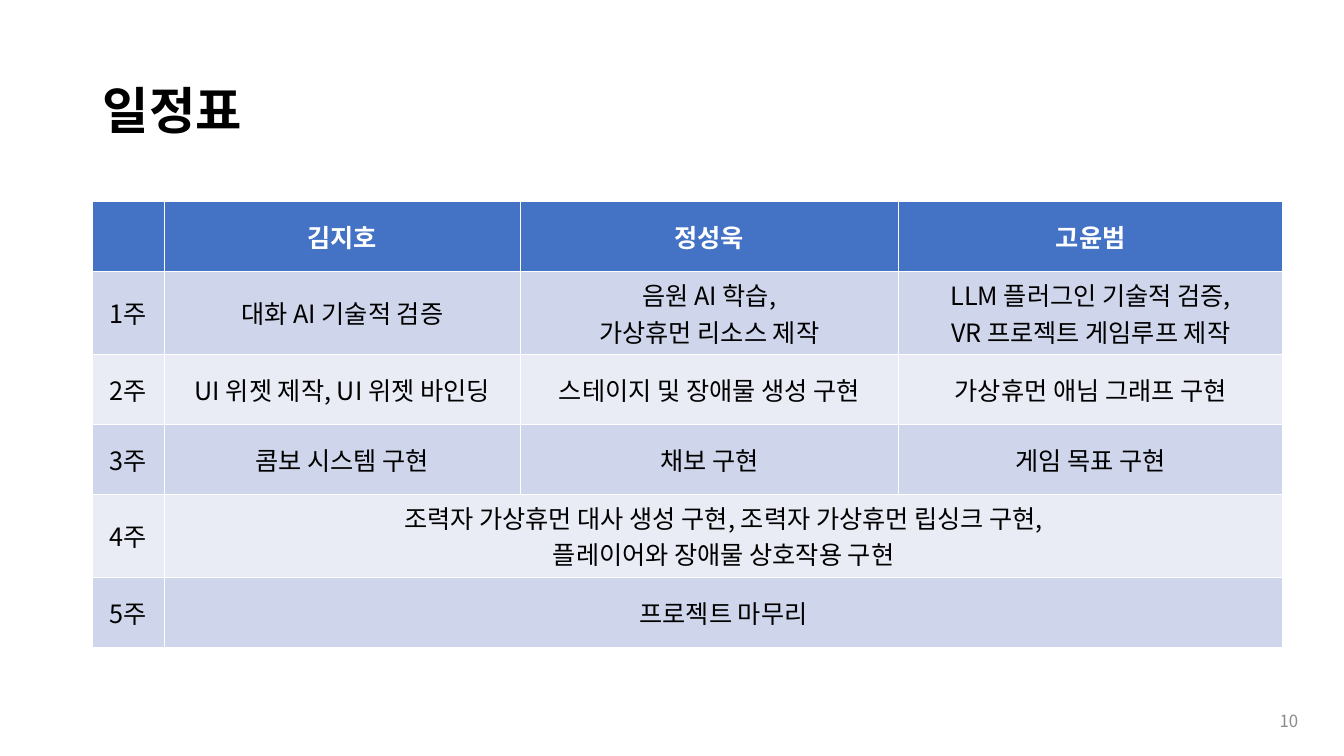
from pptx import Presentation
from pptx.dml.color import RGBColor as Rgb
from pptx.enum.text import MSO_ANCHOR as Anchor, PP_ALIGN as Align
from pptx.util import Cm, Pt
from lxml.etree import SubElement

TITLE = "일정표"
PAGE = "10"
HEAD = ["", "김지호", "정성욱", "고윤범"]
# A week with a single task spans all three members.
WEEKS = [
    ["1주", "대화 AI 기술적 검증", "음원 AI 학습,\n가상휴먼 리소스 제작",
     "LLM 플러그인 기술적 검증,\nVR 프로젝트 게임루프 제작"],
    ["2주", "UI 위젯 제작, UI 위젯 바인딩", "스테이지 및 장애물 생성 구현",
     "가상휴먼 애님 그래프 구현"],
    ["3주", "콤보 시스템 구현", "채보 구현", "게임 목표 구현"],
    ["4주", "조력자 가상휴먼 대사 생성 구현, 조력자 가상휴먼 립싱크 구현,\n"
            "플레이어와 장애물 상호작용 구현"],
    ["5주", "프로젝트 마무리"],
]
FONT = "Noto Sans CJK KR"
COLORS = {"head": "4472C4", "odd": "CFD5EA", "even": "E9EBF5",
          "white": "FFFFFF", "black": "000000", "gray": "8C8C8C"}
WIDTHS = [1.8, 8.97, 9.53, 9.69]
ROW = 1.76
LEFT = 2.34


def color(name):
    return Rgb.from_string(COLORS[name])


def write(frame, text, size, tint, align, bold=False):
    frame.text = text
    frame.word_wrap = True
    for para in frame.paragraphs:
        para.alignment = align
        for run in para.runs:
            font = run.font
            font.name, font.size, font.bold = FONT, Pt(size), bold
            font.color.rgb = color(tint)
            # East Asian glyphs take their font from a:ea.
            props = run._r.get_or_add_rPr()
            tag = props.find("{*}latin").tag.replace("latin", "ea")
            SubElement(props, tag, typeface=FONT)


def add_plan(slide):
    rows = [HEAD] + WEEKS
    table = slide.shapes.add_table(
        len(rows), len(HEAD), Cm(LEFT), Cm(5.08),
        Cm(sum(WIDTHS)), Cm(ROW * len(rows))).table
    for col, width in zip(table.columns, WIDTHS):
        col.width = Cm(width)
    for r, texts in enumerate(rows):
        table.rows[r].height = Cm(ROW)
        fill = "head" if r == 0 else "odd" if r % 2 else "even"
        for c in range(len(HEAD)):
            cell = table.cell(r, c)
            cell.fill.solid()
            cell.fill.fore_color.rgb = color(fill)
            cell.vertical_anchor = Anchor.MIDDLE
            write(cell.text_frame, texts[c] if c < len(texts) else "", 18,
                  "black" if r else "white", Align.CENTER, r == 0)
        if len(texts) == 2:
            table.cell(r, 1).merge(table.cell(r, len(HEAD) - 1))


def main():
    prs = Presentation()
    prs.slide_width, prs.slide_height = Cm(33.87), Cm(19.05)
    slide = prs.slides.add_slide(prs.slide_layouts[5])

    title = slide.shapes.title
    title.left, title.top = Cm(LEFT), Cm(1.01)
    title.width, title.height = Cm(29.21), Cm(3.68)
    write(title.text_frame, TITLE, 36, "black", Align.LEFT, True)
    title.text_frame.vertical_anchor = Anchor.MIDDLE
    title.text_frame.paragraphs[0].line_spacing = 0.9

    add_plan(slide)

    page = slide.shapes.add_textbox(Cm(25.35), Cm(17.66), Cm(7.62), Cm(1.01))
    write(page.text_frame, PAGE, 12, "gray", Align.RIGHT)
    page.text_frame.vertical_anchor = Anchor.MIDDLE
    prs.save("out.pptx")


if __name__ == "__main__":
    main()
